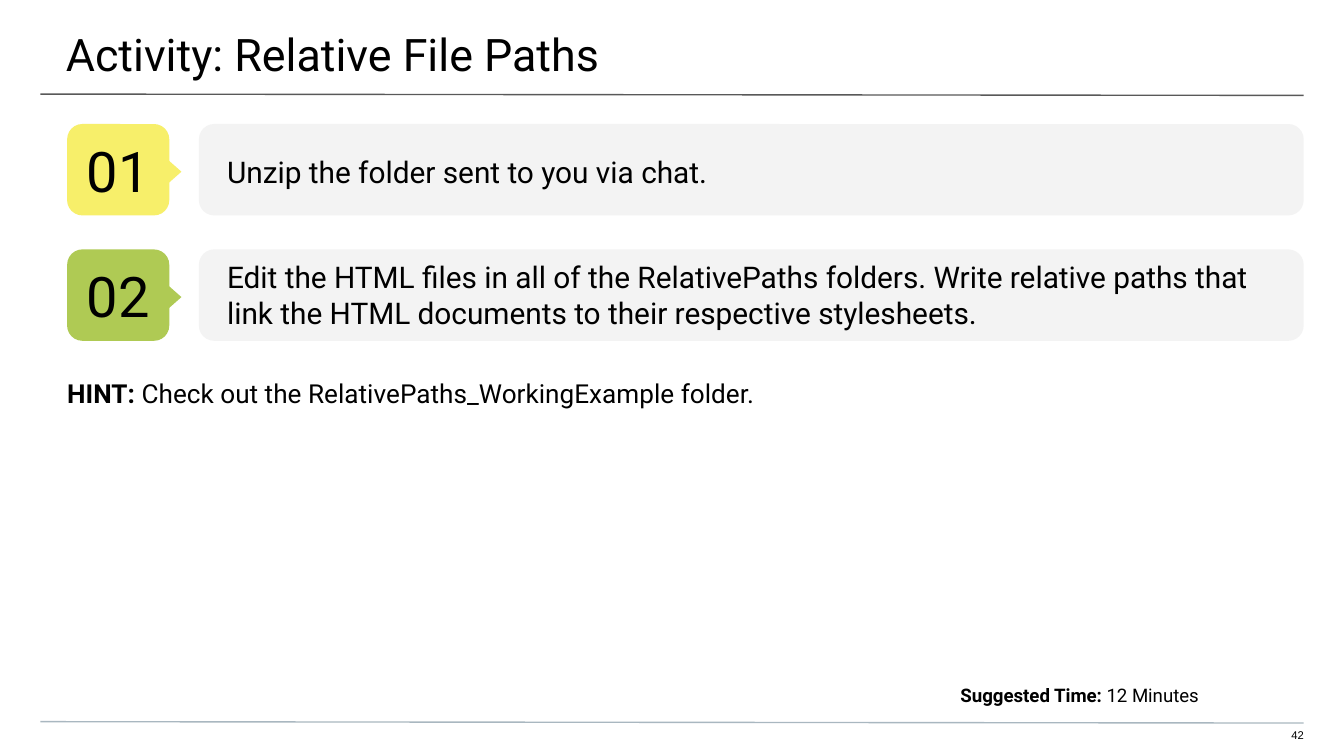
"""Build the activity slide on relative file paths, on a grid of 100 columns."""
from pptx import Presentation
from pptx.dml.color import RGBColor
from pptx.enum.shapes import MSO_CONNECTOR as CONNECTOR, MSO_SHAPE as SHAPE
from pptx.enum.text import MSO_ANCHOR as ANCHOR, PP_ALIGN as ALIGN
from pptx.oxml.ns import qn
from pptx.util import Inches, Pt
from lxml.etree import SubElement

BLACK = RGBColor(0x00, 0x00, 0x00)
DARK_GRAY = RGBColor(0x59, 0x59, 0x59)
BLUE_GRAY = RGBColor(0xA9, 0xB7, 0xC0)
PALE_GRAY = RGBColor(0xF3, 0xF3, 0xF3)
YELLOW = RGBColor(0xF7, 0xEF, 0x6A)
GREEN = RGBColor(0xAF, 0xCA, 0x54)

COLUMNS = 100
SLIDE_W = Inches(10)
SLIDE_H = SLIDE_W * 9 // 16
FULL_WIDTH = (-0.1, 100.3)
CARD_TOP, CARD_PITCH, CARD_H = 9.23, 9.33, 6.8
TEXT_TOP, TEXT_PITCH, TEXT_H = 9.5, 9.1, 6.6

STEPS = [
    ("01", YELLOW, "Unzip the folder sent to you via chat."),
    ("02", GREEN, "Edit the HTML files in all of the RelativePaths folders. Write relative "
                  "paths that link the HTML documents to their respective stylesheets."),
]


def grid(*cells):
    return [round(SLIDE_W * cell / COLUMNS) for cell in cells]


def write(s, runs, size, insets=(0, 0, 0, 0), align=ALIGN.LEFT, anchor=ANCHOR.TOP, font="Roboto"):
    tf = s.text_frame
    tf.word_wrap = True
    tf.vertical_anchor = anchor
    tf.margin_left, tf.margin_top, tf.margin_right, tf.margin_bottom = grid(*insets)
    p = tf.paragraphs[0]
    p.alignment = align
    p.font.name, p.font.size, p.font.color.rgb = font, Pt(size), BLACK
    for text, bold in runs:
        r = p.add_run()
        r.text = text
        if bold:
            r.font.bold = True


def add_text(sp, box, runs, size, **style):
    write(sp.add_textbox(*grid(*box)), runs, size, **style)


def add_block(sp, kind, box, color):
    s = sp.add_shape(kind, *grid(*box))
    s.shadow.inherit = False
    s.fill.solid()
    s.fill.fore_color.rgb = color
    s.line.fill.background()
    return s


def add_rule(sp, y, color):
    line = sp.add_connector(CONNECTOR.STRAIGHT, *grid(3, y, 97, y + 0.1))
    line.line.color.rgb = color
    line.line.width = Pt(0.75)
    SubElement(line._element.spPr, qn("a:effectLst"))


def add_step(sp, row, number, color, text):
    top = CARD_TOP + row * CARD_PITCH
    add_block(sp, SHAPE.ROUNDED_RECTANGLE, (14.8, top, 82.2, CARD_H), PALE_GRAY)
    badge = add_block(sp, SHAPE.ROUNDED_RECTANGLE, (5, top, 7.6, CARD_H), color)
    write(badge, [(number, False)], 30, (1, 1, 1, 1), ALIGN.CENTER, ANCHOR.MIDDLE)
    pointer = add_block(sp, SHAPE.FLOWCHART_EXTRACT, (10.6, top + 2.5, 3.7, 2.1), color)
    pointer.rotation = 90
    left, width = FULL_WIDTH
    add_text(sp, (left, TEXT_TOP + row * TEXT_PITCH, width, TEXT_H), [(text, False)], 16,
             insets=(17, 0, 5, 0), anchor=ANCHOR.MIDDLE)


def main():
    prs = Presentation()
    prs.slide_width, prs.slide_height = SLIDE_W, SLIDE_H
    sp = prs.slides.add_slide(prs.slide_layouts[6]).shapes
    left, width = FULL_WIDTH

    add_text(sp, (94.1, 54.2, 2.9, 1.2), [("42", False)], 6, insets=(0, 0, 0, 1),
             align=ALIGN.RIGHT, font="Arial")
    add_rule(sp, 53.7, BLUE_GRAY)
    add_rule(sp, 7, DARK_GRAY)
    add_text(sp, (left, 0, width, 5.8), [("Activity: Relative File Paths", False)], 24,
             insets=(5, 2, 3, 1))
    add_text(sp, (0, 28.1, 100, 20.9),
             [("HINT: ", True), ("Check out the RelativePaths_WorkingExample folder.", False)],
             14, insets=(5, 0, 5, 0))
    add_text(sp, (left, 50.8, width, 2.9), [("Suggested Time: ", True), ("12 Minutes", False)],
             10, insets=(12, 0.1, 11, 0), align=ALIGN.RIGHT)
    for row, step in enumerate(STEPS):
        add_step(sp, row, *step)

    prs.save("out.pptx")


if __name__ == "__main__":
    main()
